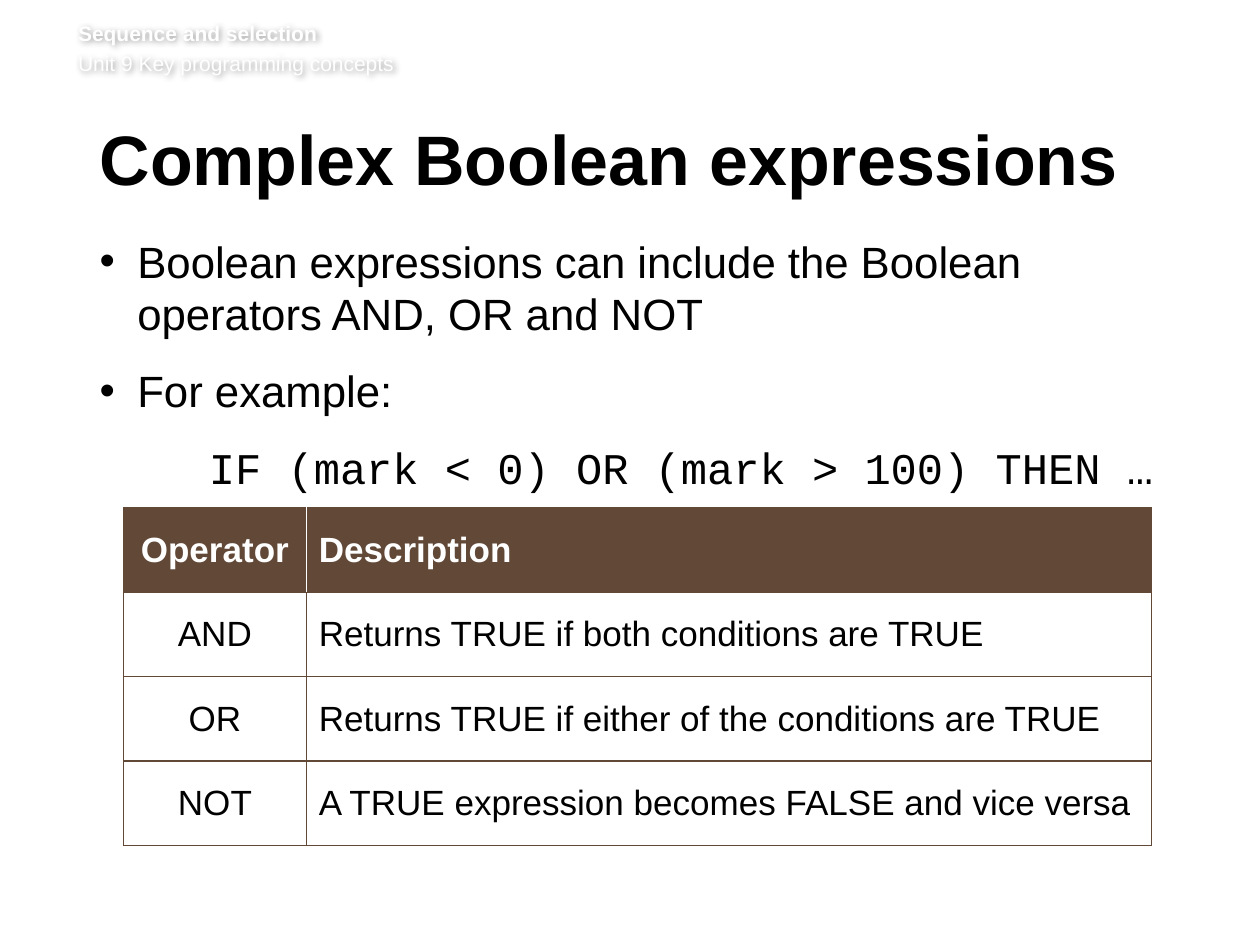
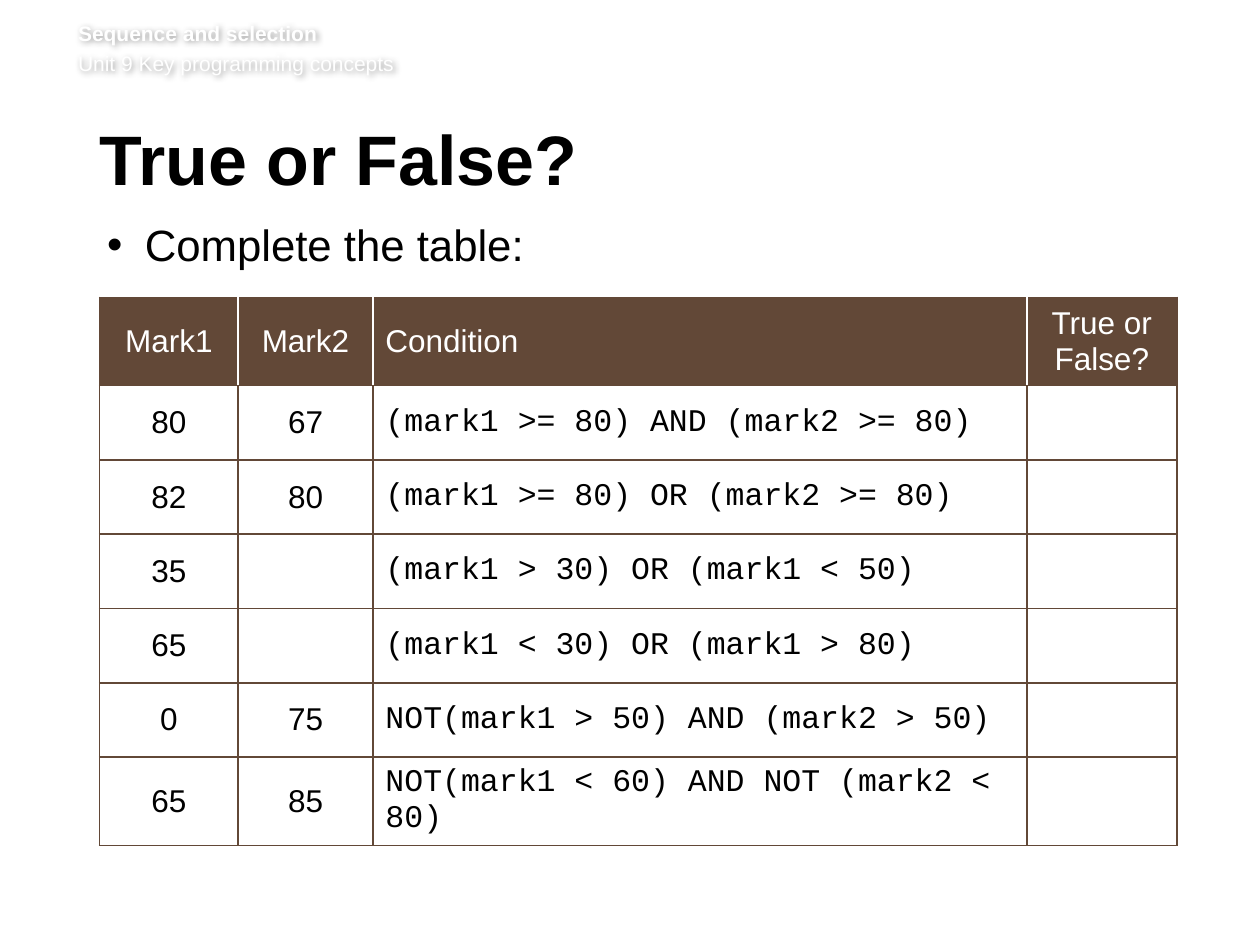
from dataclasses import dataclass

from lxml import etree
from pptx import Presentation
from pptx.dml.color import RGBColor
from pptx.enum import text as t
from pptx.oxml import ns
from pptx.util import Pt

COLORS = {"brown": "624837", "white": "FFFFFF", "black": "000000"}
SANS, MONO = "Arial", "Courier New"
BULLET_INDENT = 21.6
CODE_INDENT = 62.5
CENTER = t.PP_ALIGN.CENTER
LEFT = t.PP_ALIGN.LEFT


@dataclass
class Line:
    """One paragraph with its look; lengths are in points."""
    words: str
    size: float
    color: str = "black"
    font: str = SANS
    bold: bool = False
    align: t.PP_ALIGN = LEFT
    bullet: bool = False
    indent: float = 0
    spacing: dict[str, float] | None = None


@dataclass
class Frame:
    left: float
    top: float
    width: float
    height: float

    def lengths(self) -> tuple:
        return tuple(map(Pt, (self.left, self.top, self.width, self.height)))


@dataclass
class Grid:
    frame: Frame
    columns: list[float]
    centered: set[int]
    size: float
    bold_header: bool
    rows: list[list[str]]
    code_column: int | None = None


HEADER = Frame(44.6, 11.5, 635, 35.3)
TITLE = Frame(56.9, 71.3, 615.6, 52.6)


def add_node(parent, tag: str, **attributes: object):
    values = {name: str(value) for name, value in attributes.items()}
    return etree.SubElement(parent, ns.qn(tag), values)


def write_line(para, line: Line) -> None:
    properties = para._p.get_or_add_pPr()
    left = BULLET_INDENT if line.bullet else line.indent
    if left:
        properties.set("marL", str(Pt(left)))
    if line.bullet:
        properties.set("indent", str(-Pt(left)))
        add_node(properties, "a:buFont", typeface=SANS)
        add_node(properties, "a:buChar", char="•")
    para.alignment = line.align
    for name, points in (line.spacing or {}).items():
        setattr(para, name, Pt(points))
    if line.words:
        span = para.add_run()
        span.text = line.words
        font = span.font
    else:
        font = para.font
    look = {"size": Pt(line.size), "name": line.font, "bold": line.bold}
    for name, value in look.items():
        setattr(font, name, value)
    font.color.rgb = RGBColor.from_string(COLORS[line.color])


def add_text(page, frame: Frame, lines: list[Line], top: float = 0, right: float = 7.2):
    box = page.shapes.add_textbox(*frame.lengths())
    body = box.text_frame
    layout = {"word_wrap": True, "margin_left": 0, "margin_top": Pt(top),
              "margin_right": Pt(right), "margin_bottom": Pt(3.6)}
    for name, value in layout.items():
        setattr(body, name, value)
    for number, line in enumerate(lines):
        write_line(body.add_paragraph() if number else body.paragraphs[0], line)
    return box


def add_text_shadow(box) -> None:
    effects = add_node(box._element.spPr, "a:effectLst")
    shadow = add_node(effects, "a:outerShdw", blurRad=Pt(4), dist=Pt(1), dir=2700000,
                      algn="tl", rotWithShape=0)
    color = add_node(shadow, "a:srgbClr", val=COLORS["black"])
    add_node(color, "a:alpha", val=40000)


def add_page(deck, title: str):
    """Add a slide with the running header and its title."""
    page = deck.slides.add_slide(deck.slide_layouts[6])
    header = add_text(page, HEADER, [
        Line("Sequence and selection", 12, "white", bold=True),
        Line("Unit 9 Key programming concepts", 12, "white", spacing={"space_before": 2.9}),
    ], right=0)
    add_text_shadow(header)
    heading = Line(title, 40, bold=True, spacing={"line_spacing": 39, "space_after": 15})
    add_text(page, TITLE, [heading], top=3.6)
    return page


def set_borders(cell, colors: dict[str, str]) -> None:
    properties = cell._tc.get_or_add_tcPr()
    for side in "LRTB":
        edge = add_node(properties, f"a:ln{side}", w=Pt(1))
        fill = add_node(edge, "a:solidFill")
        add_node(fill, "a:srgbClr", val=COLORS[colors.get(side, "brown")])


def add_grid(page, grid: Grid) -> None:
    last = len(grid.columns) - 1
    table = page.shapes.add_table(
        len(grid.rows), last + 1, *grid.frame.lengths()).table
    table.horz_banding = False
    for column, width in zip(table.columns, grid.columns):
        column.width = Pt(width)
    for row_index, words_in_row in enumerate(grid.rows):
        table.rows[row_index].height = Pt(grid.frame.height / len(grid.rows))
        is_header = row_index == 0
        for column_index, words in enumerate(words_in_row):
            cell = table.cell(row_index, column_index)
            cell.vertical_anchor = t.MSO_ANCHOR.MIDDLE
            inner = {"L": column_index > 0, "R": column_index < last}
            set_borders(cell, {side: "white" for side, inside in inner.items()
                               if is_header and inside})
            if is_header:
                cell.fill.solid()
                cell.fill.fore_color.rgb = RGBColor.from_string(COLORS["brown"])
            else:
                cell.fill.background()
            is_code = column_index == grid.code_column and not is_header
            write_line(cell.text_frame.paragraphs[0], Line(
                words, grid.size,
                color="white" if is_header else "black",
                font=MONO if is_code else SANS,
                bold=is_header and grid.bold_header,
                align=CENTER if column_index in grid.centered else LEFT))


OPERATORS = Grid(
    Frame(70.6, 290.2, 587.5, 193), [104.4, 483.1], {0}, 20, True,
    [["Operator", "Description"],
     ["AND", "Returns TRUE if both conditions are TRUE"],
     ["OR", "Returns TRUE if either of the conditions are TRUE"],
     ["NOT", "A TRUE expression becomes FALSE and vice versa"]])

CONDITIONS = Grid(
    Frame(56.9, 169.9, 615.6, 297.4), [79.2, 77, 373.7, 85.7], {0, 1, 3}, 18, False,
    [["Mark1", "Mark2", "Condition", "True or False?"],
     ["80", "67", "(mark1 >= 80) AND (mark2 >= 80)", ""],
     ["82", "80", "(mark1 >= 80) OR (mark2 >= 80)", ""],
     ["35", "", "(mark1 > 30) OR (mark1 < 50)", ""],
     ["65", "", "(mark1 < 30) OR (mark1 > 80)", ""],
     ["0", "75", "NOT(mark1 > 50) AND (mark2 > 50)", ""],
     ["65", "85", "NOT(mark1 < 60) AND NOT (mark2 < 80)", ""]],
    code_column=2)


def body_line(words: str, **look) -> Line:
    return Line(words, 25, spacing={"space_after": 14}, **look)


def main() -> None:
    deck = Presentation()
    deck.slide_width, deck.slide_height = Pt(720), Pt(540)

    page = add_page(deck, "Complex Boolean expressions")
    add_text(page, Frame(56.9, 133.9, 614.2, 272.2), [
        body_line("Boolean expressions can include the Boolean operators AND, OR and NOT",
                  bullet=True),
        body_line("For example:", bullet=True),
        body_line("IF (mark < 0) OR (mark > 100) THEN …", font=MONO, indent=CODE_INDENT),
    ])
    add_grid(page, OPERATORS)

    page = add_page(deck, "True or False?")
    add_text(page, Frame(61.2, 124.6, 614.2, 334),
             [body_line("Complete the table:", bullet=True)])
    add_grid(page, CONDITIONS)

    deck.save("out.pptx")


if __name__ == "__main__":
    main()
